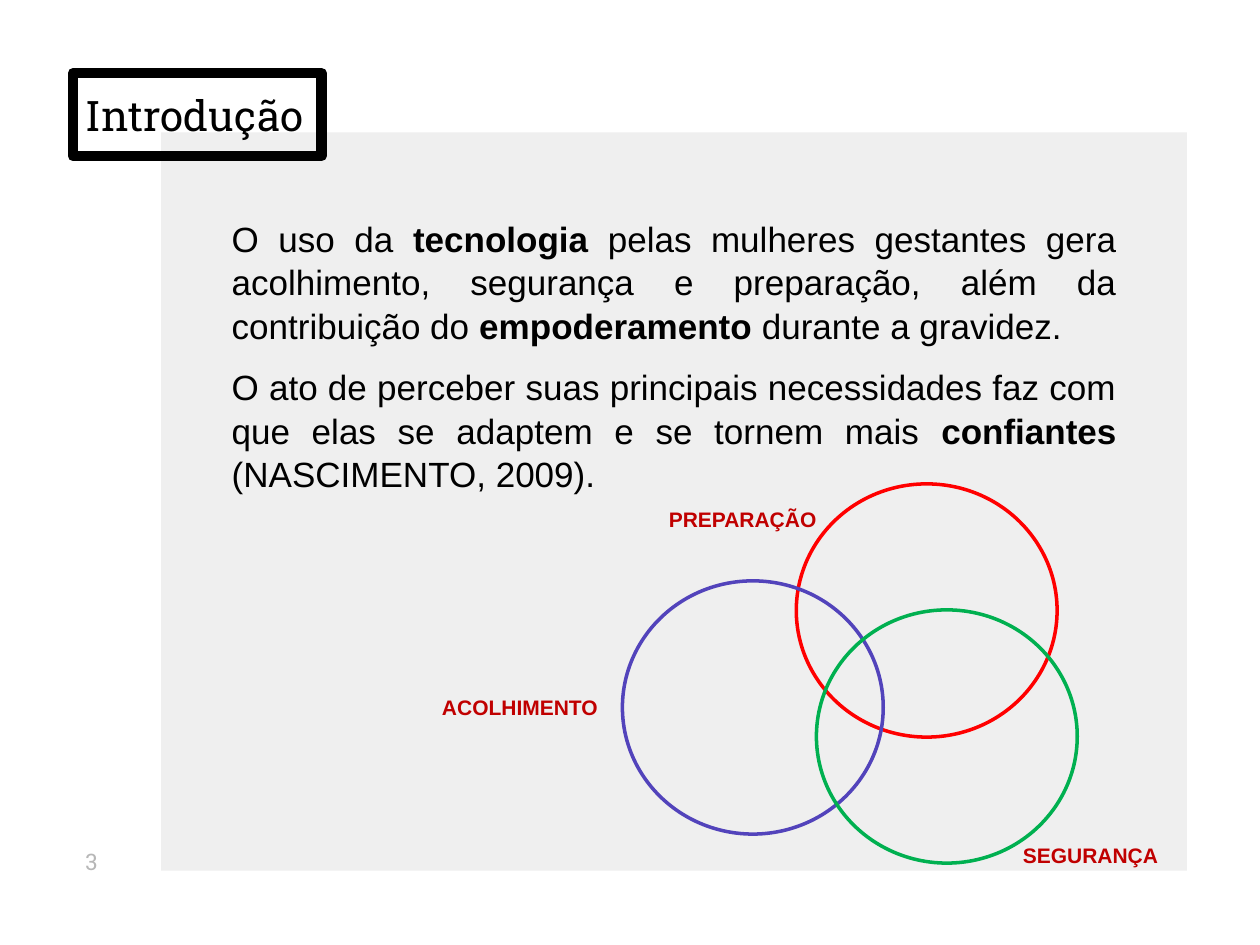
from pptx import Presentation, util as u
from pptx.dml.color import RGBColor
from pptx.enum import shapes, text

HUES = {
    "ink": "000000", "panel": "EFEFEF", "page": "B7B7B7", "label": "C00000",
    "red": "FF0000", "violet": "5243BB", "green": "00B050",
}
SERIF, SANS = "Roboto Slab", "Arial"
TITLE = "Introdução"
BODY = [
    [("O uso da ", False), ("tecnologia", True),
     (" pelas mulheres gestantes gera acolhimento, segurança e preparação, "
      "além da contribuição do ", False),
     ("empoderamento ", True), ("durante a gravidez. ", False)],
    [("O ato de perceber suas principais necessidades faz com que elas se "
      "adaptem e se tornem mais ", False),
     ("confiantes ", True), ("(NASCIMENTO, 2009).", False)],
]
PAGE = "3"
RING = (2.07, 2.01)
RINGS = [("red", 6.32, 3.84), ("violet", 4.94, 4.61), ("green", 6.48, 4.84)]
LABELS = [
    ("ACOLHIMENTO", 3.41, 5.46, 1.54, True),
    ("SEGURANÇA", 8.02, 6.64, 1.28, False),
    ("PREPARAÇÃO", 5.21, 3.97, 1.54, True),
]


def hue(name):
    return RGBColor.from_string(HUES[name])


def box(*dims):
    return [u.Inches(d) for d in dims]


def pad(frame, side, edge):
    frame.margin_left = frame.margin_right = u.Inches(side)
    frame.margin_top = frame.margin_bottom = u.Inches(edge)


def write(para, words, size, face, color, bold=False):
    run = para.add_run()
    run.text = words
    font = run.font
    font.size, font.name, font.bold = u.Pt(size), face, bold
    font.color.rgb = hue(color)


def outline(shape, color, width):
    shape.fill.background()
    shape.line.color.rgb = hue(color)
    shape.line.width = u.Pt(width)


def draw(slide, kind, *dims):
    shape = slide.shapes.add_shape(kind, *box(*dims))
    shape.shadow.inherit = False
    return shape


def note(slide, dims, edge=0.1, wrap=True):
    frame = slide.shapes.add_textbox(*box(*dims)).text_frame
    frame.word_wrap = wrap
    pad(frame, 0.1, edge)
    return frame


def head(slide):
    title = slide.shapes.title
    slide.shapes.element.append(title.element)
    title.left, title.top, title.width, title.height = box(0.58, 0.58, 1.97, 0.66)
    outline(title, "ink", 6)
    frame = title.text_frame
    frame.word_wrap = True
    frame.auto_size = text.MSO_AUTO_SIZE.NONE
    frame.vertical_anchor = text.MSO_ANCHOR.MIDDLE
    pad(frame, 0.1, 0.1)
    para = frame.paragraphs[0]
    para.alignment = text.PP_ALIGN.LEFT
    para.space_before = u.Pt(0)
    write(para, TITLE, 24, SERIF, "ink")


def prose(slide):
    frame = note(slide, (1.74, 1.61, 7.22, 1.4))
    for i, runs in enumerate(BODY):
        para = frame.add_paragraph() if i else frame.paragraphs[0]
        para.alignment = text.PP_ALIGN.JUSTIFY
        para.space_before = u.Pt(10)
        para.line_spacing = 1.04
        for words, bold in runs:
            write(para, words, 20, SANS, "ink", bold)


def venn(slide):
    for color, x, y in RINGS:
        outline(draw(slide, shapes.MSO_SHAPE.OVAL, x, y, *RING), color, 2)
    for words, x, y, wide, wrap in LABELS:
        frame = note(slide, (x, y, wide, 0.3), 0.05, wrap)
        frame.auto_size = text.MSO_AUTO_SIZE.SHAPE_TO_FIT_TEXT
        write(frame.paragraphs[0], words, 12, SANS, "label", True)


def main():
    deck = Presentation()
    deck.slide_width, deck.slide_height = box(10, 7.5)
    slide = deck.slides.add_slide(deck.slide_layouts[5])
    panel = draw(slide, shapes.MSO_SHAPE.RECTANGLE, 1.28, 1.05, 8.14, 5.86)
    panel.fill.solid()
    panel.fill.fore_color.rgb = hue("panel")
    panel.line.fill.background()
    head(slide)
    prose(slide)
    page = note(slide, (0.58, 6.63, 0.6, 0.57))
    write(page.paragraphs[0], PAGE, 13, SERIF, "page")
    venn(slide)
    deck.save("out.pptx")


if __name__ == "__main__":
    main()
